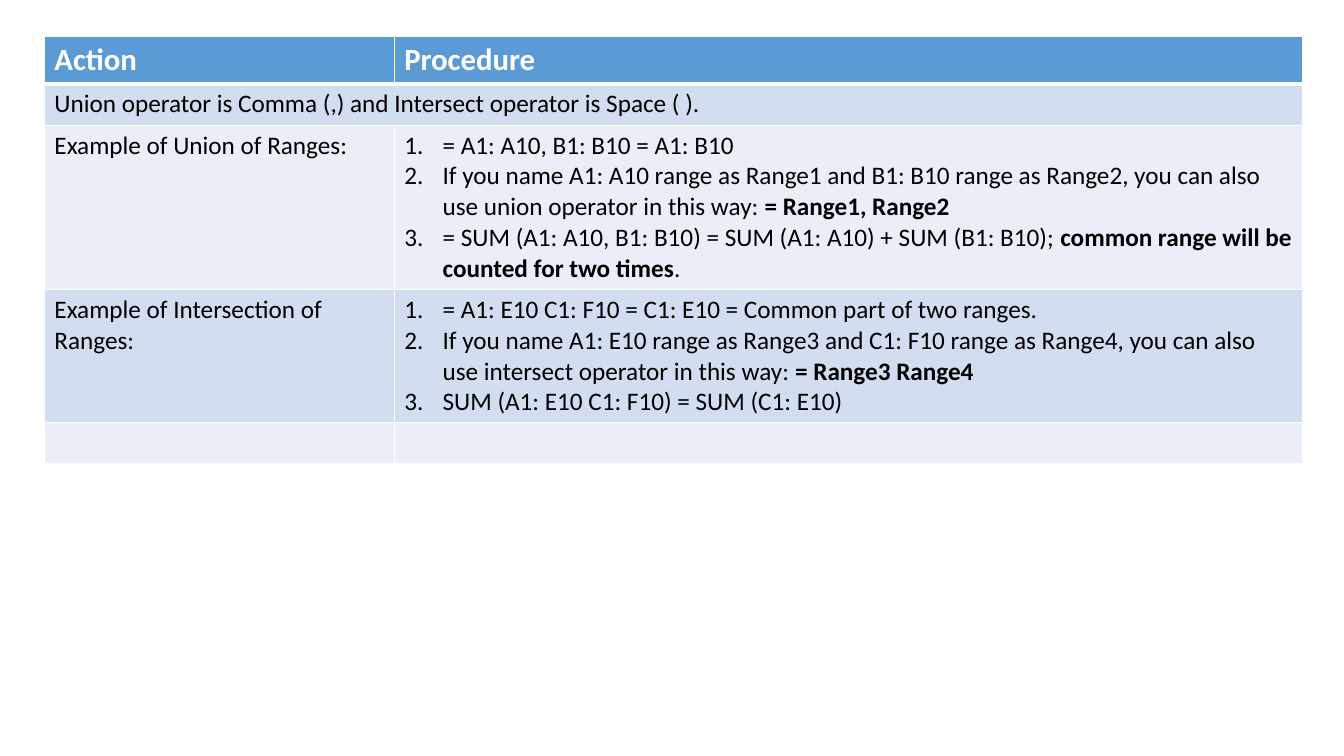
import pptx
import pptx.dml.color
import pptx.oxml.ns
import pptx.util
from lxml import etree

Inches = pptx.util.Inches
THEME = {
    "font": "Calibri", "header_size": 22, "body_size": 18,
    "header": "5B9BD5", "bands": ["D2DEEF", "EAEFF7"],
    "white": "FFFFFF", "black": "000000",
}


def sub(parent, tag, **attrs):
    return etree.SubElement(parent, pptx.oxml.ns.qn(tag), attrs)


def write(tf, paragraphs, size=THEME["body_size"], color=THEME["black"], bold=False, numbered=False):
    for i, text in enumerate(paragraphs):
        p = tf.paragraphs[0] if i == 0 else tf.add_paragraph()
        if numbered:
            pPr = p._p.get_or_add_pPr()
            pPr.set("marL", str(Inches(0.38)))
            pPr.set("indent", str(Inches(-0.38)))
            sub(pPr, "a:buFont", typeface="+mj-lt")
            sub(pPr, "a:buAutoNum", type="arabicPeriod")
        p.font.size = pptx.util.Pt(size)
        for j, part in enumerate(text.split("**")):
            if part:
                r = p.add_run()
                r.text = part
                r.font.name = THEME["font"]
                r.font.size = pptx.util.Pt(size)
                r.font.bold = bold or j % 2 == 1
                r.font.color.rgb = pptx.dml.color.RGBColor.from_string(color)


rows = [
    (0.46, ["Action"], ["Procedure"]),
    (0.41, ["Union operator is Comma (,) and Intersect operator is Space ( )."], []),
    (1.63, ["Example of Union of Ranges:"], [
        "= A1: A10, B1: B10 = A1: B10",
        "If you name A1: A10 range as Range1 and B1: B10 range as Range2, you can also use union operator in this way: **= Range1, Range2**",
        "= SUM (A1: A10, B1: B10) = SUM (A1: A10) + SUM (B1: B10); **common range will be counted for two times**.",
    ]),
    (1.32, ["Example of Intersection of Ranges:"], [
        "= A1: E10 C1: F10 = C1: E10 = Common part of two ranges.",
        "If you name A1: E10 range as Range3 and C1: F10 range as Range4, you can also use intersect operator in this way: **= Range3 Range4**",
        "SUM (A1: E10 C1: F10) = SUM (C1: E10)",
    ]),
    (0.41, [""], [""]),
]

prs = pptx.Presentation()
prs.slide_width = Inches(13.33)
prs.slide_height = Inches(7.5)
s = prs.slides.add_slide(prs.slide_layouts[6])

widths = [3.47, 9.01]
height = sum(row[0] for row in rows)
table = s.shapes.add_table(
    len(rows), len(widths), Inches(0.44), Inches(0.36), Inches(sum(widths)), Inches(height)
).table
for column, width in zip(table.columns, widths):
    column.width = Inches(width)
table.cell(1, 0).merge(table.cell(1, 1))

for i, (row_height, *contents) in enumerate(rows):
    table.rows[i].height = Inches(row_height)
    is_header = i == 0
    fill = THEME["header"] if is_header else THEME["bands"][(i - 1) % 2]
    for j, paragraphs in enumerate(contents):
        cell = table.cell(i, j)
        tcPr = cell._tc.get_or_add_tcPr()
        for side in "LRTB":
            thick = (is_header and side == "B") or (i == 1 and side == "T")
            ln = sub(tcPr, f"a:ln{side}", w=str(pptx.util.Pt(3 if thick else 1)))
            sub(sub(ln, "a:solidFill"), "a:srgbClr", val=THEME["white"])
        cell.fill.solid()
        cell.fill.fore_color.rgb = pptx.dml.color.RGBColor.from_string(fill)
        if is_header:
            write(cell.text_frame, paragraphs, size=THEME["header_size"], color=THEME["white"], bold=True)
        else:
            write(cell.text_frame, paragraphs, numbered=len(paragraphs) > 1)

prs.save("out.pptx")
